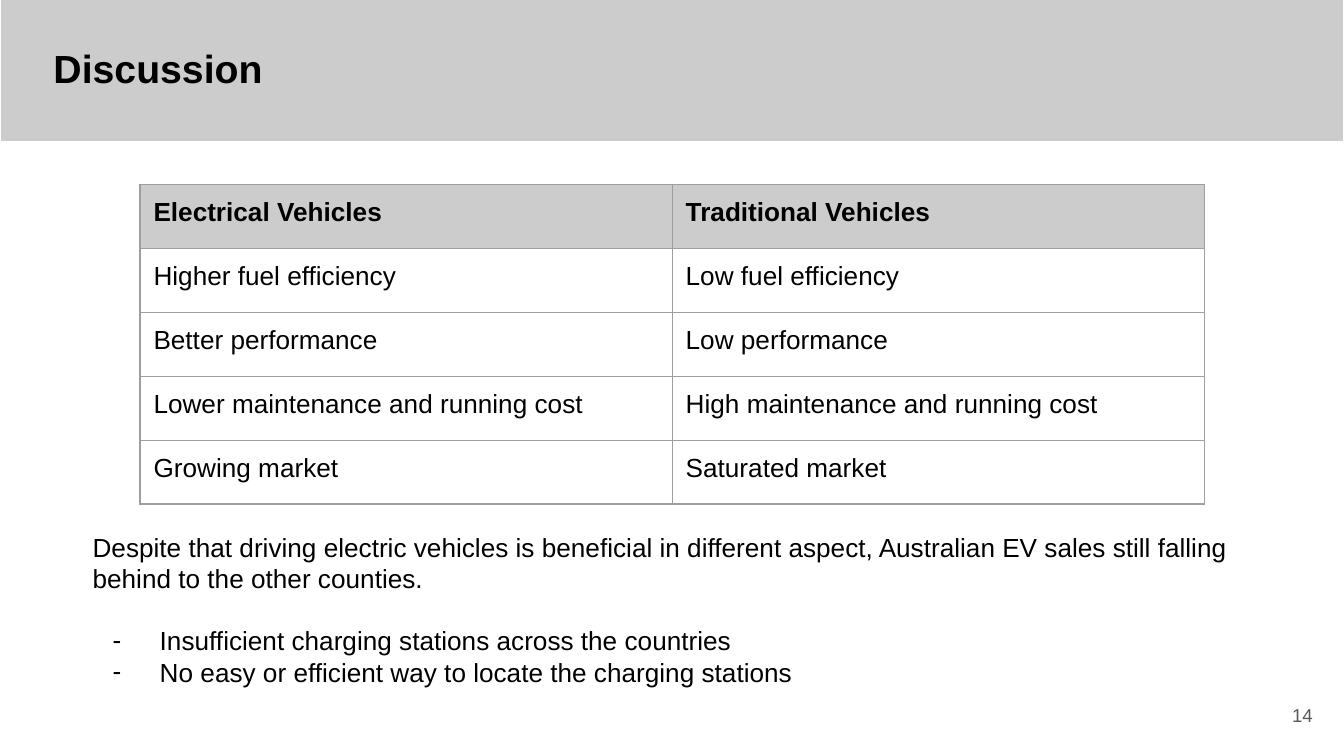
from lxml.etree import SubElement
from pptx import Presentation
from pptx.dml.color import RGBColor
from pptx.enum.shapes import MSO_SHAPE
from pptx.enum.text import MSO_ANCHOR, PP_ALIGN
from pptx.oxml.ns import qn
from pptx.util import Inches, Pt

COLORS = {"band": "CCCCCC", "page": "FFFFFF", "ink": "000000",
          "border": "9E9E9E", "number": "595959"}
WIDTH = Inches(10)
HEIGHT = WIDTH * 9 // 16
COL, ROW = WIDTH / 100, HEIGHT / 100
INSET = Inches(0.1)
MARGINS = {f"margin_{side}": INSET for side in ("left", "top", "right", "bottom")}
BODY = {"size": Pt(14), "name": "Arial", "bold": False}
HEADER = {**BODY, "bold": True}
TITLE = {**HEADER, "size": Pt(21)}
NUMBER = {**BODY, "size": Pt(10)}

COMPARISON = [
    ("Electrical Vehicles", "Traditional Vehicles"),
    ("Higher fuel efficiency", "Low fuel efficiency"),
    ("Better performance", "Low performance"),
    ("Lower maintenance and running cost", "High maintenance and running cost"),
    ("Growing market", "Saturated market"),
]
CLAIM = ("Despite that driving electric vehicles is beneficial in different aspect, "
         "Australian EV sales still falling behind to the other counties.")
REASONS = ["Insufficient charging stations across the countries",
           "No easy or efficient way to locate the charging stations"]


def rgb(name):
    return RGBColor.from_string(COLORS[name])


def grid(left, top, width, height):
    return [round(n) for n in (left * COL, top * ROW, width * COL, height * ROW)]


def set_all(obj, values):
    for key, value in values.items():
        setattr(obj, key, value)


def write(p, text, font, color="ink"):
    r = p.add_run()
    r.text = text
    set_all(r.font, font)
    r.font.color.rgb = rgb(color)


def add_text(slide, box, **frame):
    tf = slide.shapes.add_textbox(*box).text_frame
    set_all(tf, {**MARGINS, "word_wrap": True, **frame})
    return tf


def add_bullet(p, char):
    pPr = p._p.get_or_add_pPr()
    pPr.set("marL", str(Inches(0.5)))
    pPr.set("indent", str(-Inches(0.35)))
    color = SubElement(pPr, qn("a:buClr"))
    SubElement(color, qn("a:srgbClr"), val=COLORS["ink"])
    SubElement(pPr, qn("a:buFont"), typeface="Arial")
    SubElement(pPr, qn("a:buChar"), char=char)


def add_borders(cell):
    tcPr = cell._tc.get_or_add_tcPr()
    for i, side in enumerate(("lnL", "lnR", "lnT", "lnB")):
        ln = tcPr.makeelement(qn(f"a:{side}"), {"w": str(Pt(0.75))})
        fill = SubElement(ln, qn("a:solidFill"))
        SubElement(fill, qn("a:srgbClr"), val=COLORS["border"])
        tcPr.insert(i, ln)


def add_header(slide, box):
    left, top, width, height = box
    sp = slide.shapes.add_shape(MSO_SHAPE.RECTANGLE, *box)
    sp.shadow.inherit = False
    sp.fill.solid()
    sp.fill.fore_color.rgb = rgb("band")
    sp.line.color.rgb = rgb("page")
    sp.line.width = Pt(0.75)
    title_box = (left + round(width * 0.03), top + height // 4,
                 round(width * 0.7), height // 2)
    tf = add_text(slide, title_box)
    write(tf.paragraphs[0], "Discussion", TITLE)


def add_comparison(slide, box):
    table = slide.shapes.add_table(len(COMPARISON), len(COMPARISON[0]), *box).table
    set_all(table, {"first_row": False, "horz_banding": False})
    for i, texts in enumerate(COMPARISON):
        for j, text in enumerate(texts):
            cell = table.cell(i, j)
            set_all(cell, MARGINS)
            if i == 0:
                cell.fill.solid()
                cell.fill.fore_color.rgb = rgb("band")
            else:
                cell.fill.background()
            add_borders(cell)
            write(cell.text_frame.paragraphs[0], text, BODY if i else HEADER)


def add_conclusion(slide, box):
    tf = add_text(slide, box)
    write(tf.paragraphs[0], CLAIM, BODY)
    tf.paragraphs[0].space_after = Pt(16.5)
    for reason in REASONS:
        p = tf.add_paragraph()
        add_bullet(p, "-")
        write(p, reason, BODY)


def add_page_number(slide, box):
    tf = add_text(slide, box, vertical_anchor=MSO_ANCHOR.MIDDLE)
    tf.paragraphs[0].alignment = PP_ALIGN.RIGHT
    write(tf.paragraphs[0], "14", NUMBER, "number")


def main():
    prs = Presentation()
    set_all(prs, {"slide_width": WIDTH, "slide_height": HEIGHT})
    slide = prs.slides.add_slide(prs.slide_layouts[6])
    add_header(slide, grid(0, -0.7, 100, 19.4))
    add_comparison(slide, grid(10.42, 24.4, 79.2, 42.3))
    add_conclusion(slide, grid(5.9, 68.5, 89.1, 24.6))
    add_page_number(slide, grid(92.66, 90.7, 6, 7.7))
    prs.save("out.pptx")


if __name__ == "__main__":
    main()
